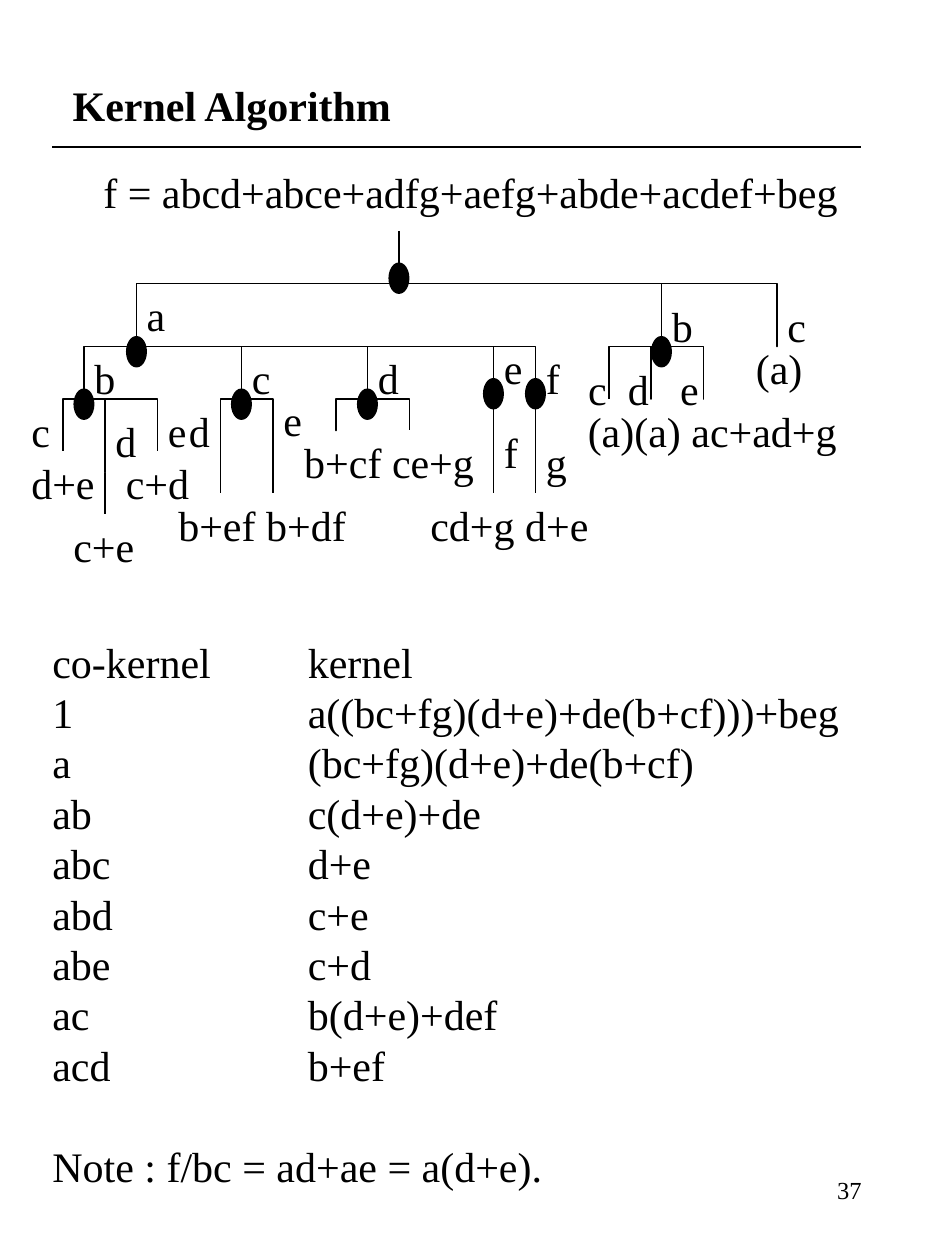
from lxml import etree
from pptx import Presentation
from pptx import util as u
from pptx.dml.color import RGBColor
from pptx.enum import shapes, text
from pptx.oxml import ns

Pt = u.Pt
BLACK = "000000"
UNIT = 6
BODY = {"name": "Times New Roman", "size": Pt(24), "bold": False}
TITLE = {**BODY, "bold": True}
SMALL = {**BODY, "size": Pt(14)}
GLYPHS = {"a": 10.66, "c": 10.66, "e": 10.66, "f": 8, "(": 8, ")": 8,
          "+": 13.54, " ": 6}

BRANCHES = [
    [(10, 5), (71, 5), (71, 11), (71, 5), (60, 5), (60, 11), (55, 11), (64, 11),
     (64, 16), (64, 11), (59, 11), (59, 16), (59, 11), (55, 11), (55, 16)],
    [(10, 5), (10, 11), (5, 11), (5, 16), (3, 16), (3, 20), (3, 16), (7, 16),
     (7, 23), (7, 16), (12, 16), (12, 20)],
    [(10, 11), (20, 11), (20, 16), (18, 16), (18, 20), (18, 16), (23, 16), (23, 20)],
    [(20, 11), (32, 11), (32, 16), (29, 16), (29, 19), (29, 16), (36, 16), (36, 19)],
    [(32, 11), (44, 11), (44, 25)],
    [(44, 11), (48, 11), (48, 25)],
]
STEMS = [(35, 0, 4), (7, 23, 27), (12, 17, 21), (3, 19, 21), (18, 19, 25), (23, 17, 25)]
NODES = [(35, 4.5), (60, 11.5), (48, 15.5), (44, 15.5), (32, 16.5), (20, 16.5),
         (5, 16.5), (10, 11.5)]
LABELS = [
    ("a", 11, 5), ("b", 61, 6), ("c", 72, 6), ("(a)", 69, 10),
    ("b", 6, 11), ("c", 21, 11), ("d", 33, 11), ("e", 45, 10), ("f", 49, 11),
    ("c", 0, 16), ("d", 8, 17), ("e", 13, 16), ("d", 15, 16), ("e", 24, 15),
    ("d+e", 0, 21), ("c+d", 9, 21), ("c+e", 4, 27), ("b+ef b+df", 14, 25),
    ("b+cf ce+g", 26, 19), ("f", 45, 18), ("g", 49, 19), ("cd+g d+e", 38, 25),
    ("(a)(a) ac+ad+g", 53, 16),
]
KERNELS = [
    ("co-kernel", "kernel"), ("1", "a((bc+fg)(d+e)+de(b+cf)))+beg"),
    ("a", "(bc+fg)(d+e)+de(b+cf)"), ("ab", "c(d+e)+de"), ("abc", "d+e"),
    ("abd", "c+e"), ("abe", "c+d"), ("ac", "b(d+e)+def"), ("acd", "b+ef"),
]


def color(value):
    """Return the colour for a hex string."""
    return RGBColor.from_string(value)


def add_text(s, box, lines, fmt=BODY, tabs=(), align=text.PP_ALIGN.LEFT,
             anchor=text.MSO_ANCHOR.TOP, wrap=True):
    """Add a text box with one paragraph per line."""
    tf = s.shapes.add_textbox(*map(Pt, box)).text_frame
    tf.word_wrap, tf.vertical_anchor = wrap, anchor
    for i, line in enumerate(lines):
        p = tf.paragraphs[0] if i == 0 else tf.add_paragraph()
        if tabs:
            stops = etree.SubElement(p._p.get_or_add_pPr(), ns.qn("a:tabLst"))
            for pos in tabs:
                etree.SubElement(stops, ns.qn("a:tab"), pos=str(Pt(pos)), algn="l")
        p.alignment = align
        p.line_spacing = Pt(fmt["size"].pt * 1.2)
        r = p.add_run()
        r.text = line
        for key, value in fmt.items():
            setattr(r.font, key, value)
        r.font.color.rgb = color(BLACK)
    return tf


def add_line(s, x1, y1, x2, y2):
    """Add a thin black straight line."""
    sp = s.shapes.add_connector(shapes.MSO_CONNECTOR.STRAIGHT, *map(Pt, (x1, y1, x2, y2)))
    etree.SubElement(sp._element.spPr, ns.qn("a:effectLst"))
    outline(sp)


def outline(sp):
    """Give a shape a thin black line."""
    sp.line.color.rgb = color(BLACK)
    sp.line.width = Pt(1)


def add_title(s, left, top, width, height):
    """Place the heading and the rule below it."""
    add_text(s, (left + 4.5, top, width - 2.5, height), ["Kernel Algorithm"], TITLE,
             anchor=text.MSO_ANCHOR.MIDDLE)
    add_line(s, left, top + 84, left + width, top + 84)


def add_tree(s, left, top):
    """Place the kernel tree on a grid of equal units."""
    for start, *rest in BRANCHES:
        fb = s.shapes.build_freeform(*start, scale=Pt(UNIT))
        fb.add_line_segments(rest, close=False)
        sp = fb.convert_to_shape(Pt(left), Pt(top))
        sp.shadow.inherit = False
        sp.fill.background()
        outline(sp)
    for x, y1, y2 in STEMS:
        add_line(s, left + x * UNIT, top + y1 * UNIT, left + x * UNIT, top + y2 * UNIT)
    w, h = 11, 17
    for x, y in NODES:
        box = left + x * UNIT - w / 2, top + y * UNIT - h / 2, w, h
        sp = s.shapes.add_shape(shapes.MSO_SHAPE.OVAL, *map(Pt, box))
        sp.shadow.inherit = False
        sp.fill.solid()
        sp.fill.fore_color.rgb = color(BLACK)
        outline(sp)
    for label, x, y in LABELS:
        width = sum(GLYPHS.get(ch, 12) for ch in label) + 14.4
        add_text(s, (left + x * UNIT - 7.2, top + y * UNIT, width, 36), [label], wrap=False)
    add_text(s, (left + 311, top + 72, 78, 36), ["c\td\te"], tabs=(22.8, 52.6))


def add_kernels(s, left, top, width, height):
    """Place the list of co-kernels and kernels with the closing note."""
    lines = ["\t".join(pair) for pair in KERNELS]
    tf = add_text(s, (left, top, width, height),
                  lines + ["Note : f/bc = ad+ae = a(d+e)."], tabs=(146,))
    tf.paragraphs[-1].space_before = Pt(28.8)


def main():
    """Build the slide and save it."""
    prs = Presentation()
    prs.slide_width, prs.slide_height = Pt(540), Pt(720)
    s = prs.slides.add_slide(prs.slide_layouts[6])
    add_title(s, 30, 0, 462, 120)
    add_text(s, (52, 91.5, 488, 36), ["f = abcd+abce+adfg+aefg+abde+acdef+beg"])
    add_tree(s, 18, 132)
    add_kernels(s, 22.8, 360, 480, 324)
    add_text(s, (387.5, 656, 112, 48), ["37"], SMALL, align=text.PP_ALIGN.RIGHT,
             anchor=text.MSO_ANCHOR.MIDDLE)
    prs.save("out.pptx")


if __name__ == "__main__":
    main()
